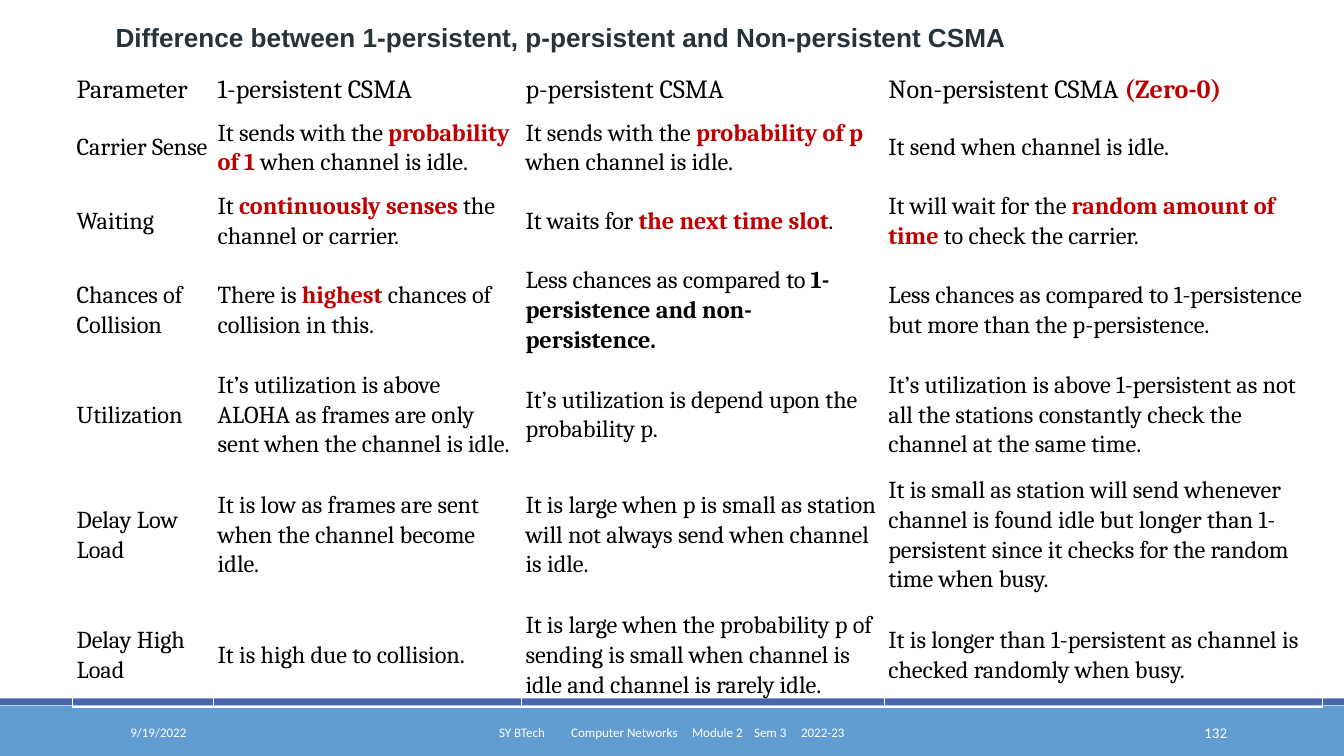
from pptx import Presentation
from pptx.dml.color import RGBColor as Rgb
from pptx.enum.shapes import MSO_SHAPE as Kind
from pptx.enum.text import MSO_ANCHOR as Anchor, PP_ALIGN as Align
from pptx.oxml.ns import qn
from pptx.util import Pt
from lxml.etree import SubElement as Sub

RED, BLACK, WHITE = "C00000", "000000", "FFFFFF"
TITLE = "Difference between 1-persistent, p-persistent and Non-persistent CSMA"
COURSE = ["SY BTech", "Computer Networks", "Module 2", "Sem 3", "2022-23"]
STOPS = [38.6, 103.4, 136.6, 161.8]
COLS = [75.6, 164.9, 194.4, 234.7]
HEIGHTS = [13, 33, 33, 33, 42, 51, 33]

# A cell is a string, or a list whose pairs are (colour, bold text).
ROWS = [
    ["Parameter", "1-persistent CSMA", "p-persistent CSMA",
     ["Non-persistent CSMA ", (RED, "(Zero-0)")]],
    ["Carrier Sense",
     ["It sends with the ", (RED, "probability of 1 "), "when channel is idle."],
     ["It sends with the ", (RED, "probability of p "), "when channel is idle."],
     "It send when channel is idle."],
    ["Waiting",
     ["It ", (RED, "continuously senses "), "the channel or carrier."],
     ["It waits for ", (RED, "the next time slot"), "."],
     ["It will wait for the ", (RED, "random amount of time "),
      "to check the carrier."]],
    ["Chances of Collision",
     ["There is ", (RED, "highest "), "chances of collision in this."],
     ["Less chances as compared to ",
      (BLACK, "1-persistence and non-persistence.")],
     "Less chances as compared to 1-persistence but more than the "
     "p-persistence."],
    ["Utilization",
     "It’s utilization is above ALOHA as frames are only sent when the "
     "channel is idle.",
     "It’s utilization is depend upon the probability p.",
     "It’s utilization is above 1-persistent as not all the stations "
     "constantly check the channel at the same time."],
    ["Delay Low Load",
     "It is low as frames are sent when the channel become idle.",
     "It is large when p is small as station will not always send when "
     "channel is idle.",
     "It is small as station will send whenever channel is found idle but "
     "longer than 1-persistent since it checks for the random time when busy."],
    ["Delay High Load",
     "It is high due to collision.",
     "It is large when the probability p of sending is small when channel is "
     "idle and channel is rarely idle.",
     "It is longer than 1-persistent as channel is checked randomly when busy."],
]


def tint(code):
    return Rgb.from_string(code)


def apply(item, **values):
    for name, value in values.items():
        setattr(item, name, value)


def style(font, face, size, code, bold=False):
    apply(font, name=face, size=Pt(size), bold=bold)
    font.color.rgb = tint(code)


def pad(frame, side, edge):
    apply(frame, margin_left=Pt(side), margin_right=Pt(side),
          margin_top=Pt(edge), margin_bottom=Pt(edge))


def add_bar(slide, top, height, code):
    bar = slide.shapes.add_shape(Kind.RECTANGLE, 0, Pt(top), Pt(720), Pt(height))
    bar.shadow.inherit = False
    bar.fill.solid()
    bar.fill.fore_color.rgb = tint(code)
    bar.line.fill.background()


def add_note(slide, left, width, text, size, align, stops=()):
    box = slide.shapes.add_textbox(Pt(left), Pt(381.6), Pt(width), Pt(21.6))
    frame = box.text_frame
    pad(frame, 5, 2.7)
    apply(frame, word_wrap=True, vertical_anchor=Anchor.MIDDLE)
    para = frame.paragraphs[0]
    apply(para, text=text, alignment=align)
    if stops:
        tabs = Sub(para._p.get_or_add_pPr(), qn("a:tabLst"))
        for stop in stops:
            Sub(tabs, qn("a:tab"), pos=str(Pt(stop)), algn="l")
    for run in para.runs:
        style(run.font, "Calibri", size, WHITE)
    return frame


def set_title(slide):
    title = slide.shapes.title
    apply(title, left=Pt(54.7), top=Pt(7.9), width=Pt(641.5), height=Pt(24.5))
    frame = title.text_frame
    pad(frame, 7.2, 3.6)
    apply(frame, text=TITLE, word_wrap=True, vertical_anchor=Anchor.TOP)
    para = frame.paragraphs[0]
    para.alignment = Align.LEFT
    style(para.runs[0].font, "Arial", 14, "273239", True)


def fill_cell(cell, parts, size, edge):
    cell.fill.background()
    pad(cell, 2.2, edge)
    cell.vertical_anchor = Anchor.MIDDLE
    para = cell.text_frame.paragraphs[0]
    para.line_spacing = 1.07
    for part in [parts] if isinstance(parts, str) else parts:
        bold = isinstance(part, tuple)
        code, text = part if bold else (BLACK, part)
        run = para.add_run()
        run.text = text
        style(run.font, "Cambria", size, code, bold)


def add_grid(slide):
    table = slide.shapes.add_table(
        len(ROWS), len(COLS), Pt(38.9), Pt(36.7),
        Pt(sum(COLS)), Pt(sum(HEIGHTS))).table
    apply(table, first_row=False, horz_banding=False)
    for col, width in zip(table.columns, COLS):
        col.width = Pt(width)
    for i, (row, height) in enumerate(zip(table.rows, HEIGHTS)):
        row.height = Pt(height)
        size, edge = (13, 3) if i else (14, 2.2)
        for cell, parts in zip(row.cells, ROWS[i]):
            fill_cell(cell, parts, size, edge)


def main():
    deck = Presentation()
    apply(deck, slide_width=Pt(720), slide_height=Pt(405))
    slide = deck.slides.add_slide(deck.slide_layouts[5])
    add_bar(slide, 378, 27, "629DD1")
    add_bar(slide, 374.2, 3.6, "4A66AC")
    add_note(slide, 64.8, 146, "9/19/2022", 7, Align.LEFT)
    course = add_note(slide, 217.4, 285, "\t".join(COURSE), 7, Align.LEFT, STOPS)
    course.margin_left = Pt(50)
    add_note(slide, 584.6, 77.8, "132", 8, Align.RIGHT)
    set_title(slide)
    add_grid(slide)
    deck.save("out.pptx")


if __name__ == "__main__":
    main()
